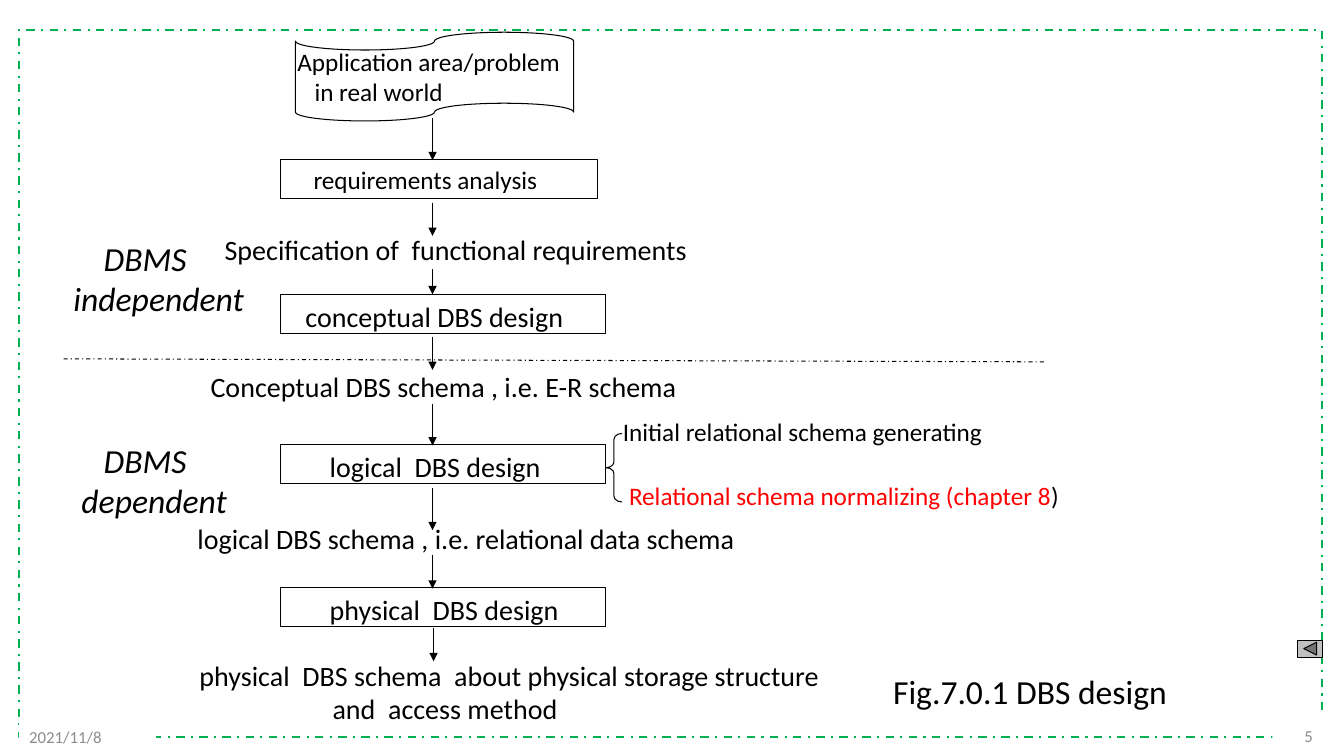
from dataclasses import dataclass
from typing import Optional

import pptx
import pptx.dml.color
import pptx.enum.dml
import pptx.enum.shapes
import pptx.enum.text
import pptx.oxml.ns
import pptx.presentation
import pptx.shapes.autoshape
import pptx.shapes.connector
import pptx.slide
import pptx.text.text
import pptx.util
from lxml import etree
from pptx.dml.color import RGBColor
from pptx.enum.shapes import MSO_SHAPE
from pptx.enum.text import MSO_ANCHOR, PP_ALIGN
from pptx.util import Inches, Pt

BLACK = RGBColor(0x00, 0x00, 0x00)
WHITE = RGBColor(0xFF, 0xFF, 0xFF)
RED = RGBColor(0xFF, 0x00, 0x00)
GREEN = RGBColor(0x00, 0xB0, 0x50)
GRAY = RGBColor(0x8C, 0x8C, 0x8C)
SILVER = RGBColor(0xC0, 0xC0, 0xC0)
FONT_NAME = "Calibri"
DASH_DOT = pptx.enum.dml.MSO_LINE.DASH_DOT
ARROW_X = 4.29
STEP_LEFT = 2.78
STEP_HEIGHT = 0.39


@dataclass(frozen=True)
class Label:
    lines: tuple[str, ...]
    left: float
    top: float
    width: float
    height: float
    size: int = 20
    indents: tuple[float, ...] = (0, 0)
    italic: bool = False


@dataclass(frozen=True)
class Step:
    text: str
    top: float
    width: float
    inset: float
    size: int = 20


@dataclass(frozen=True)
class Arrow:
    start: float
    end: float
    x: float = ARROW_X


@dataclass(frozen=True)
class Footer:
    text: str
    left: float
    top: float
    width: float
    alignment: PP_ALIGN


LABELS = (
    Label(("Specification of  functional requirements",), 2.13, 2.26, 4.84, 0.44),
    Label(("Conceptual DBS schema , i.e. E-R schema",), 1.99, 3.62, 4.94, 0.43),
    Label(("logical DBS schema , i.e. relational data schema",), 1.86, 5.12, 5.62, 0.43),
    Label(("physical  DBS schema  about physical storage structure", "and  access method"),
          1.88, 6.48, 6.42, 0.77, indents=(0, 1.32)),
    Label(("DBMS", "independent"), 0.63, 2.31, 1.91, 0.91, 24, (0.3, 0), True),
    Label(("DBMS", "dependent"), 0.63, 4.31, 1.74, 0.91, 24, (0.3, 0.08), True),
    Label(("Initial relational schema generating",), 6.08, 4.08, 3.94, 0.4, 18),
    Label(("Fig.7.0.1 DBS design",), 8.76, 6.61, 2.94, 0.5, 24),
)
NORMALIZING = Label(("Relational schema normalizing (chapter 8",), 6.14, 4.72, 4.52, 0.4, 18)
STEPS = (
    Step("requirements analysis", 1.58, 3.15, 0.33, 18),
    Step("conceptual DBS design", 2.92, 3.23, 0.25),
    Step("logical  DBS design", 4.41, 3.23, 0.49),
    Step("physical  DBS design", 5.83, 3.23, 0.49),
)
ARROWS = (
    Arrow(1.17, 1.59), Arrow(2.01, 2.34), Arrow(2.67, 2.92), Arrow(3.34, 3.67),
    Arrow(4.01, 4.42), Arrow(4.84, 5.26), Arrow(5.51, 5.84), Arrow(6.23, 6.56, 4.3),
)
FOOTERS = (
    Footer("5", 12.62, 7.1, 0.5, PP_ALIGN.RIGHT),
    Footer("2021/11/8", 0.19, 7.11, 1.36, PP_ALIGN.LEFT),
)


def format_paragraph(paragraph: pptx.text.text._Paragraph, size: int,
                     color: RGBColor = BLACK, italic: bool = False) -> None:
    for run in paragraph.runs:
        run.font.name = FONT_NAME
        run.font.size = Pt(size)
        run.font.color.rgb = color
        run.font.italic = italic


def fill_text(frame: pptx.text.text.TextFrame, lines: tuple[str, ...], size: int,
              indents: tuple[float, ...] = (0, 0), italic: bool = False) -> None:
    frame.text = "\n".join(lines)
    for paragraph, indent in zip(frame.paragraphs, indents):
        paragraph.alignment = PP_ALIGN.LEFT
        if indent:
            paragraph._p.get_or_add_pPr().set("marL", str(Inches(indent)))
        format_paragraph(paragraph, size, italic=italic)


def add_outline(slide: pptx.slide.Slide, kind: MSO_SHAPE, left: float, top: float,
                width: float, height: float, fill: Optional[RGBColor] = None,
                line: RGBColor = BLACK, weight: float = 0.75) -> pptx.shapes.autoshape.Shape:
    shape = slide.shapes.add_shape(kind, Inches(left), Inches(top), Inches(width), Inches(height))
    shape.shadow.inherit = False
    if fill is None:
        shape.fill.background()
    else:
        shape.fill.solid()
        shape.fill.fore_color.rgb = fill
    shape.line.color.rgb = line
    shape.line.width = Pt(weight)
    return shape


def add_label(slide: pptx.slide.Slide, label: Label) -> pptx.shapes.autoshape.Shape:
    box = slide.shapes.add_textbox(Inches(label.left), Inches(label.top),
                                   Inches(label.width), Inches(label.height))
    box.text_frame.word_wrap = False
    fill_text(box.text_frame, label.lines, label.size, label.indents, label.italic)
    return box


def add_step(slide: pptx.slide.Slide, step: Step) -> None:
    shape = add_outline(slide, MSO_SHAPE.RECTANGLE, STEP_LEFT, step.top, step.width, STEP_HEIGHT)
    frame = shape.text_frame
    frame.word_wrap = True
    frame.vertical_anchor = MSO_ANCHOR.TOP
    frame.margin_left = Inches(step.inset)
    frame.margin_bottom = 0
    fill_text(frame, (step.text,), step.size)


def add_line(slide: pptx.slide.Slide, start_x: float, start_y: float,
             end_x: float, end_y: float) -> pptx.shapes.connector.Connector:
    line = slide.shapes.add_connector(pptx.enum.shapes.MSO_CONNECTOR.STRAIGHT, Inches(start_x),
                                      Inches(start_y), Inches(end_x), Inches(end_y))
    line.line.color.rgb = BLACK
    line.line.width = Pt(0.75)
    etree.SubElement(line._element.spPr, pptx.oxml.ns.qn("a:effectLst"))
    return line


def add_arrow(slide: pptx.slide.Slide, arrow: Arrow) -> None:
    line = add_line(slide, arrow.x, arrow.start, arrow.x, arrow.end)
    tail = etree.SubElement(line.line._get_or_add_ln(), pptx.oxml.ns.qn("a:tailEnd"))
    tail.set("type", "triangle")


def add_footer(slide: pptx.slide.Slide, footer: Footer) -> None:
    box = slide.shapes.add_textbox(Inches(footer.left), Inches(footer.top),
                                   Inches(footer.width), Inches(0.4))
    box.fill.solid()
    box.fill.fore_color.rgb = WHITE
    frame = box.text_frame
    frame.word_wrap = True
    frame.vertical_anchor = MSO_ANCHOR.MIDDLE
    frame.text = footer.text
    frame.paragraphs[0].alignment = footer.alignment
    format_paragraph(frame.paragraphs[0], 12, GRAY)


def main() -> None:
    presentation = pptx.Presentation()
    presentation.slide_width = Inches(13.33)
    presentation.slide_height = Inches(7.5)
    slide = presentation.slides.add_slide(presentation.slide_layouts[6])

    border = add_outline(slide, MSO_SHAPE.RECTANGLE, 0.19, 0.3, 12.92, 7.01, None, GREEN, 1.5)
    border.line.dash_style = DASH_DOT
    for footer in FOOTERS:
        add_footer(slide, footer)
    add_outline(slide, MSO_SHAPE.ACTION_BUTTON_BACK_OR_PREVIOUS, 12.87, 6.35, 0.25, 0.17, SILVER)

    tape = add_outline(slide, MSO_SHAPE.FLOWCHART_PUNCHED_TAPE, 2.93, 0.32, 2.76, 0.88)
    frame = tape.text_frame
    frame.word_wrap = True
    frame.vertical_anchor = MSO_ANCHOR.MIDDLE
    frame.margin_left = Inches(0.02)
    frame.margin_top = frame.margin_right = frame.margin_bottom = 0
    fill_text(frame, ("Application area/problem", "in real world"), 18, (0, 0.17))

    for step in STEPS:
        add_step(slide, step)
    for label in LABELS:
        add_label(slide, label)
    paragraph = add_label(slide, NORMALIZING).text_frame.paragraphs[0]
    format_paragraph(paragraph, NORMALIZING.size, RED)
    paragraph.add_run().text = ")"
    closing = paragraph.runs[-1].font
    closing.name, closing.size, closing.color.rgb = FONT_NAME, Pt(NORMALIZING.size), BLACK

    brace = add_outline(slide, MSO_SHAPE.LEFT_BRACE, 6.01, 4.3, 0.16, 0.68)
    brace.adjustments[0] = 0.36
    add_line(slide, 0.63, 3.56, 10.38, 3.59).line.dash_style = DASH_DOT
    for arrow in ARROWS:
        add_arrow(slide, arrow)
    presentation.save("out.pptx")


if __name__ == "__main__":
    main()
